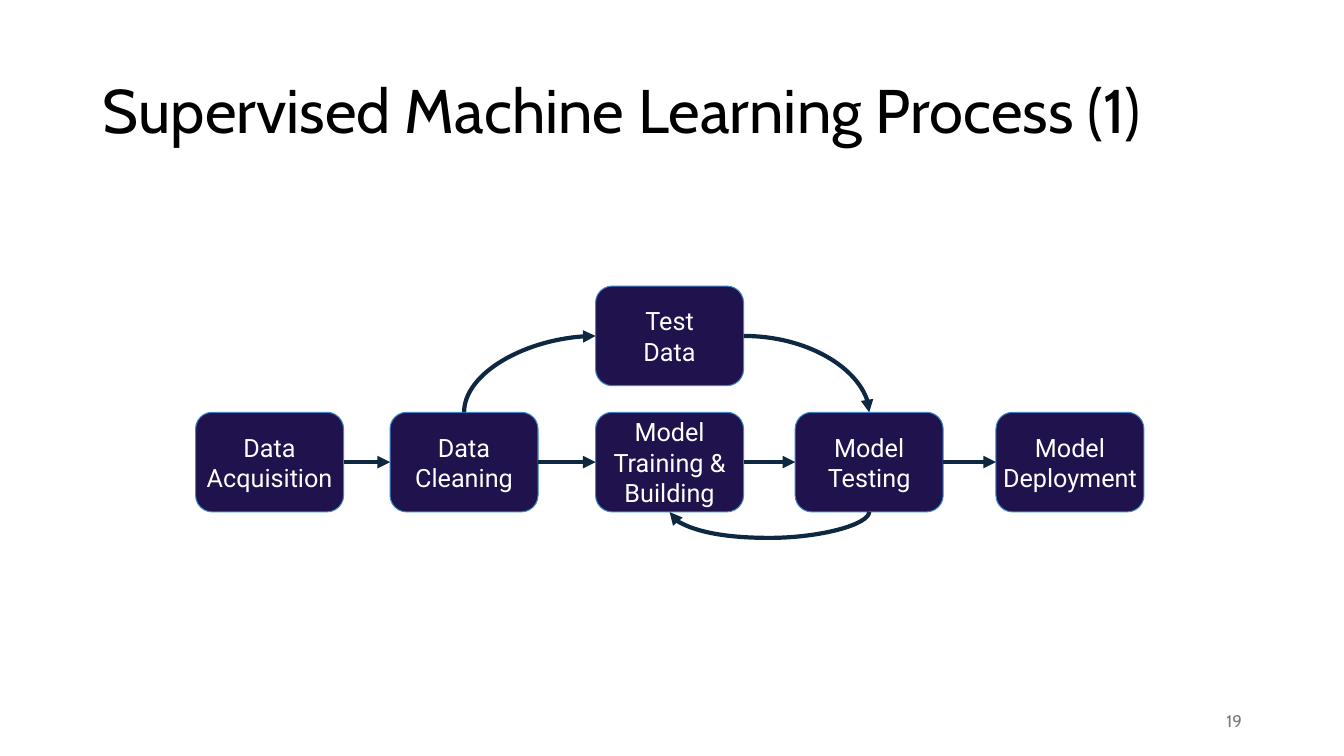
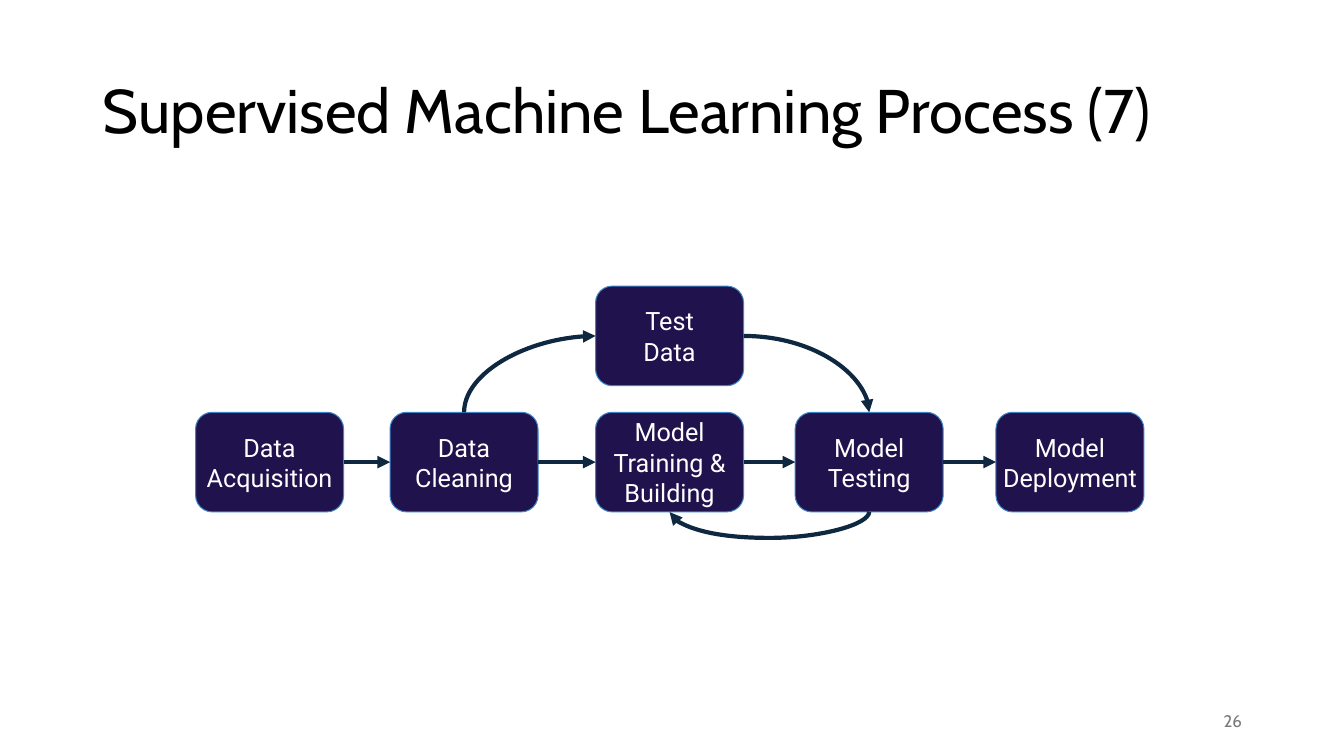
from lxml.etree import SubElement
from pptx import Presentation
from pptx.dml.color import RGBColor
from pptx.enum.shapes import MSO_CONNECTOR, MSO_SHAPE
from pptx.enum.text import MSO_ANCHOR, MSO_AUTO_SIZE, PP_ALIGN
from pptx.oxml.ns import qn
from pptx.util import Cm, Pt

SLIDES = [
    ("Supervised Machine Learning Process (1)", "19"),
    ("Supervised Machine Learning Process (7)", "26"),
]
MAIN_ROW, TEST_ROW = 10.39, 7.21
STEPS = {
    "acquisition": (4.93, MAIN_ROW, ["Data", "Acquisition"]),
    "cleaning": (9.83, MAIN_ROW, ["Data", "Cleaning"]),
    "training": (15.01, MAIN_ROW, ["Model", "Training &", "Building"]),
    "testing": (20.04, MAIN_ROW, ["Model", "Testing"]),
    "deployment": (25.1, MAIN_ROW, ["Model", "Deployment"]),
    "test data": (15.01, TEST_ROW, ["Test", "Data"]),
}
FLOW = ["acquisition", "cleaning", "training", "testing", "deployment"]
TOP, LEFT, BOTTOM, RIGHT = range(4)
CURVES = [
    ("testing", BOTTOM, "training", BOTTOM, 90),
    ("cleaning", TOP, "test data", LEFT, 270),
    ("test data", RIGHT, "testing", TOP, 0),
]
STEP_WIDTH, STEP_HEIGHT = Cm(3.73), Cm(2.51)
LOOP_DEPTH, LOOP_BASE = Cm(0.66), Cm(0.01)
TITLE_FONT, STEP_FONT = "Cabin", "Roboto"
BLACK, WHITE, GREY = "000000", "FFFFFF", "797979"
STEP_FILL, STEP_EDGE, ARROW = "20124D", "3D85C6", "0E2841"


def color(hex_value):
    return RGBColor.from_string(hex_value)


def write(frame, lines, font, size, hex_value, align):
    frame.word_wrap = True
    frame.auto_size = MSO_AUTO_SIZE.NONE
    frame.vertical_anchor = MSO_ANCHOR.MIDDLE
    for index, line in enumerate(lines):
        paragraph = frame.add_paragraph() if index else frame.paragraphs[0]
        paragraph.alignment = align
        run = paragraph.add_run()
        run.text = line
        run.font.name = font
        run.font.size = Pt(size)
        run.font.color.rgb = color(hex_value)


def add_step(slide, left, top, lines):
    step = slide.shapes.add_shape(
        MSO_SHAPE.ROUNDED_RECTANGLE, Cm(left), Cm(top), STEP_WIDTH, STEP_HEIGHT)
    step.shadow.inherit = False
    step.fill.solid()
    step.fill.fore_color.rgb = color(STEP_FILL)
    step.line.color.rgb = color(STEP_EDGE)
    step.line.width = Pt(0.75)
    frame = step.text_frame
    frame.margin_left = frame.margin_right = 0
    frame.margin_top = frame.margin_bottom = 0
    write(frame, lines, STEP_FONT, 18, WHITE, PP_ALIGN.CENTER)
    return step


def add_arrow(slide, kind, source, source_site, target, target_site):
    arrow = slide.shapes.add_connector(kind, 0, 0, 0, 0)
    arrow.begin_connect(source, source_site)
    arrow.end_connect(target, target_site)
    arrow.line.color.rgb = color(ARROW)
    arrow.line.width = Pt(3)
    properties = arrow._element.spPr
    SubElement(properties.find(qn("a:ln")), qn("a:tailEnd"), type="triangle")
    SubElement(properties, qn("a:effectLst"))
    return arrow


def bend(arrow, turn):
    center_x = (arrow.begin_x + arrow.end_x) // 2
    center_y = (arrow.begin_y + arrow.end_y) // 2
    width, height = arrow.width, arrow.height
    if turn:
        width, height = height, width
    properties = arrow._element.spPr
    geometry = properties.find(qn("a:prstGeom"))
    if width:
        geometry.set("prst", "curvedConnector2")
    else:
        width = LOOP_BASE
        guides = geometry.find(qn("a:avLst"))
        ratio = round(LOOP_DEPTH / LOOP_BASE * 100000)
        SubElement(guides, qn("a:gd"), name="adj1", fmla=f"val {ratio}")
    arrow.left, arrow.top = center_x - width // 2, center_y - height // 2
    arrow.width, arrow.height = width, height
    frame = properties.find(qn("a:xfrm"))
    for flip in ("flipH", "flipV"):
        frame.attrib.pop(flip, None)
    frame.set("rot", str(turn * 60000))


def add_process(slide):
    steps = {key: add_step(slide, *step) for key, step in STEPS.items()}
    for source, target in zip(FLOW, FLOW[1:]):
        add_arrow(slide, MSO_CONNECTOR.STRAIGHT,
                  steps[source], RIGHT, steps[target], LEFT)
    for source, source_site, target, target_site, turn in CURVES:
        curve = add_arrow(slide, MSO_CONNECTOR.CURVE, steps[source], source_site,
                          steps[target], target_site)
        bend(curve, turn)


def add_slide(deck, layout, heading, number):
    slide = deck.slides.add_slide(layout)
    title = slide.shapes.title.text_frame
    write(title, [heading], TITLE_FONT, 44, BLACK, PP_ALIGN.LEFT)
    title.paragraphs[0].line_spacing = 0.9
    add_process(slide)
    page = slide.shapes.add_textbox(Cm(23.93), Cm(17.65), Cm(7.62), Cm(1.02))
    write(page.text_frame, [number], TITLE_FONT, 12, GREY, PP_ALIGN.RIGHT)


def main():
    deck = Presentation()
    deck.slide_width, deck.slide_height = Cm(33.87), Cm(19.05)
    layout = deck.slide_layouts.get_by_name("Title Only")
    title = layout.placeholders[0]
    title.left, title.top = Cm(2.34), Cm(1.02)
    title.width, title.height = Cm(29.21), Cm(3.68)
    for heading, number in SLIDES:
        add_slide(deck, layout, heading, number)
    deck.save("out.pptx")


if __name__ == "__main__":
    main()
